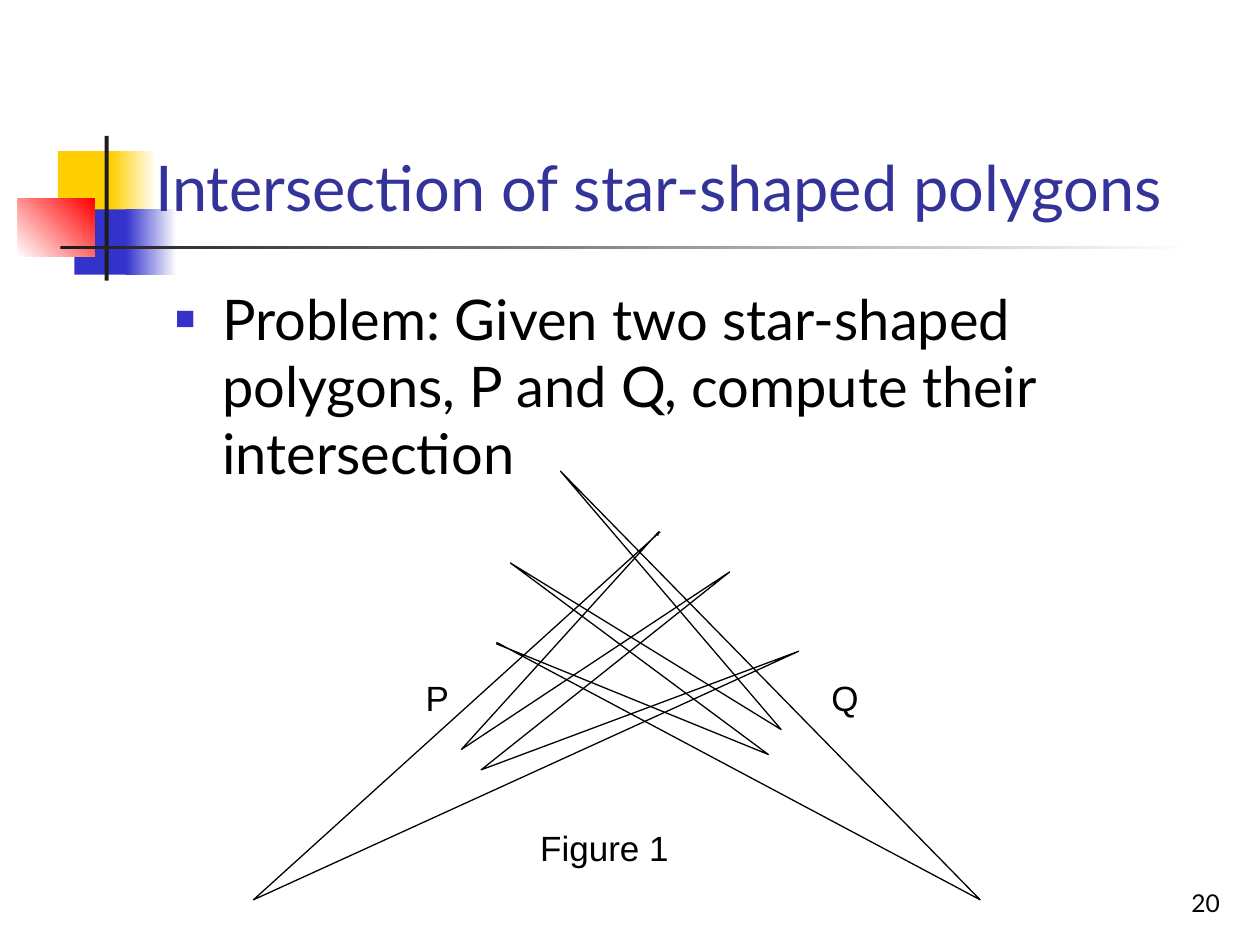
"""Build a slide on the intersection of star-shaped polygons."""
from lxml import etree
from pptx import Presentation
from pptx.dml.color import RGBColor
from pptx.enum.shapes import MSO_SHAPE
from pptx.enum.text import MSO_ANCHOR, PP_ALIGN
from pptx.oxml.ns import qn
from pptx.util import Cm, Pt

RECT = MSO_SHAPE.RECTANGLE
TOP, BOTTOM = MSO_ANCHOR.TOP, MSO_ANCHOR.BOTTOM
LEFT, CENTER, RIGHT = PP_ALIGN.LEFT, PP_ALIGN.CENTER, PP_ALIGN.RIGHT
YELLOW, BLUE, RED, DARK, WHITE = "FFCF01", "3333CC", "FF0000", "1C1C1C", "FFFFFF"
BLACK, TITLE_BLUE = "000000", "333399"

DECORATION = [
    ((1.17, 3.05, 1.22, 1.32), [YELLOW], 0),
    ((2.24, 3.05, 0.91, 1.32), [YELLOW, WHITE], 0),
    ((1.5, 4.22, 1.17, 1.32), [BLUE], 0),
    ((2.54, 4.22, 1.02, 1.32), [BLUE, WHITE], 0),
    ((0.36, 4.01, 1.55, 1.17), [WHITE, RED], 45),
    ((2.11, 2.74, 0.08, 2.92), [DARK], 0),
    ((1.22, 4.95, 22.86, 0.08), [DARK, WHITE], 0),
]
POLYGON_P = [(1326, 1080), (1328, 1072), (930, 1511), (1471, 1153),
             (970, 1552), (1610, 1313), (511, 1814), (1331, 1072)]
POLYGON_Q = [(1008, 1298), (1001, 1298), (1549, 1521), (1029, 1135),
             (1575, 1471), (1130, 950), (1976, 1814), (1001, 1295)]
LABELS = [
    ("P", (8.33, 13.51, 0.94, 1.12)),
    ("Q", (16.51, 13.51, 1.04, 1.12)),
    ("Figure 1", (10.64, 16.54, 3.2, 1.12)),
]


def rgb(value):
    """Turn a hex string into a colour."""
    return RGBColor.from_string(value)


def set_attrs(obj, values):
    """Set each named attribute of an object."""
    for name, value in values.items():
        setattr(obj, name, value)


def add_rect(slide, box, colors, angle):
    """Add a borderless rectangle with a solid or two-colour fill."""
    sp = slide.shapes.add_shape(RECT, *map(Cm, box))
    sp.shadow.inherit = False
    sp.line.fill.background()
    if len(colors) == 1:
        sp.fill.solid()
        sp.fill.fore_color.rgb = rgb(colors[0])
        return
    sp.fill.gradient()
    sp.fill.gradient_angle = angle
    for stop, color in zip(sp.fill.gradient_stops, colors):
        stop.color.rgb = rgb(color)


def add_text(slide, text, box, size, font="Lato", color=BLACK,
             align=LEFT, anchor=TOP, wrap=True):
    """Add a one-paragraph text box and return its paragraph."""
    tf = slide.shapes.add_textbox(*map(Cm, box)).text_frame
    set_attrs(tf, {"word_wrap": wrap, "vertical_anchor": anchor})
    p = tf.paragraphs[0]
    p.alignment = align
    r = p.add_run()
    r.text = text
    set_attrs(r.font, {"name": font, "size": Pt(size)})
    r.font.color.rgb = rgb(color)
    return p


def add_bullet(p, char, color, percent, indent):
    """Give a paragraph a coloured bullet with a hanging indent."""
    pPr = p._p.get_or_add_pPr()
    pPr.set("marL", str(Cm(indent)))
    pPr.set("indent", str(-Cm(indent)))
    clr = etree.SubElement(pPr, qn("a:buClr"))
    etree.SubElement(clr, qn("a:srgbClr"), val=color)
    etree.SubElement(pPr, qn("a:buSzPct"), val=str(percent * 1000))
    etree.SubElement(pPr, qn("a:buFont"), typeface="Arial")
    etree.SubElement(pPr, qn("a:buChar"), char=char)


def add_polygon(slide, points):
    """Draw an unfilled outline through points in hundredths of a cm."""
    builder = slide.shapes.build_freeform(*points[0], scale=Cm(0.01))
    builder.add_line_segments(points[1:], close=False)
    sp = builder.convert_to_shape()
    sp.shadow.inherit = False
    sp.fill.background()
    sp.line.color.rgb = rgb(BLACK)
    sp.line.width = Pt(0.74)


def main():
    """Build and save the slide."""
    prs = Presentation()
    set_attrs(prs, {"slide_width": Cm(25.4), "slide_height": Cm(19.05)})
    slide = prs.slides.add_slide(prs.slide_layouts[6])
    for box, colors, angle in DECORATION:
        add_rect(slide, box, colors, angle)
    add_text(slide, "Intersection of star-shaped polygons ",
             (2.11, 1.27, 22.66, 3.38), 36, color=TITLE_BLUE,
             align=CENTER, anchor=BOTTOM)
    p = add_text(slide, "Problem: Given two star-shaped polygons, P and Q, "
                 "compute their intersection", (3.28, 5.61, 21.59, 11.43), 32)
    p.space_before = Pt(8)
    add_bullet(p, "■", BLUE, 60, 0.95)
    for points in (POLYGON_P, POLYGON_Q):
        add_polygon(slide, points)
    for text, box in LABELS:
        add_text(slide, text, box, 20, font="Arial", wrap=False)
    add_text(slide, "20", (19.56, 17.35, 5.28, 1.27), 14,
             align=RIGHT, anchor=BOTTOM)
    prs.save("out.pptx")


main()
